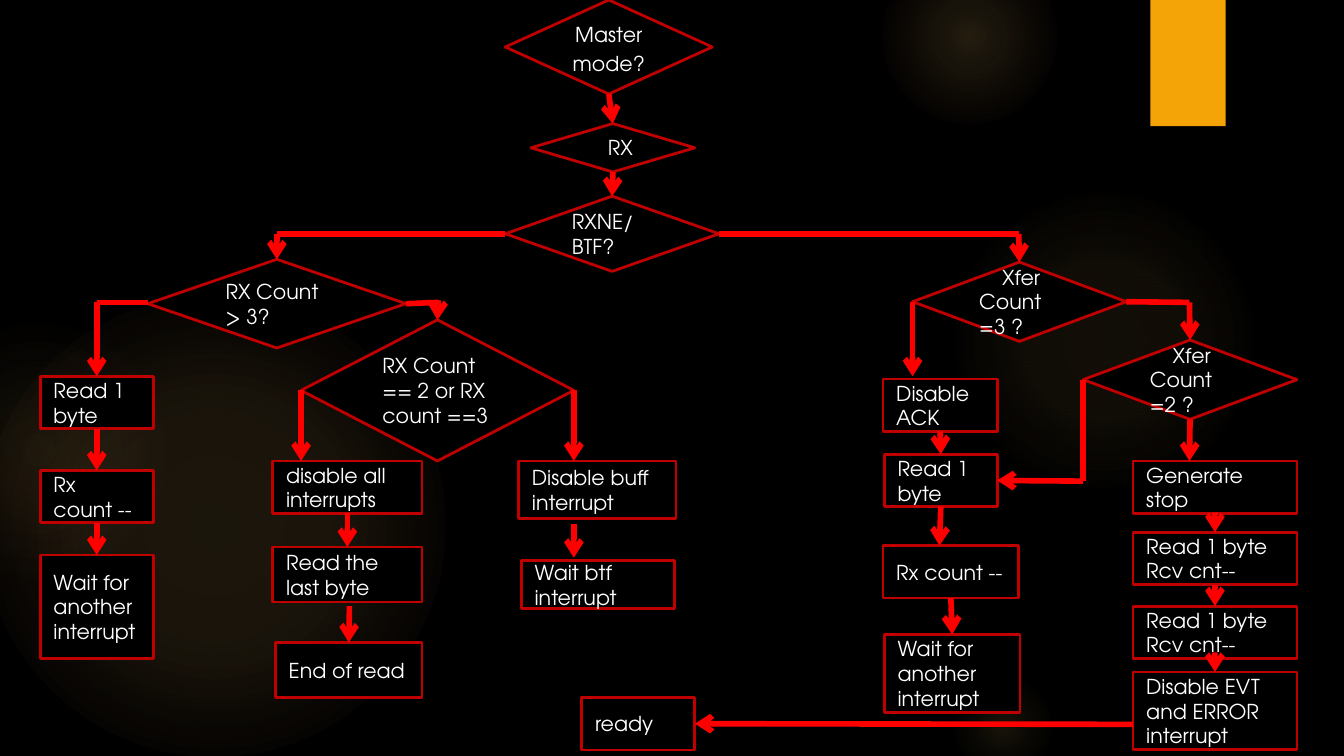
import pptx
import pptx.util
import pptx.dml.color
import pptx.enum.shapes
import pptx.enum.text
import pptx.oxml
import pptx.oxml.ns
from dataclasses import dataclass

Inches = pptx.util.Inches
Pt = pptx.util.Pt
Kind = pptx.enum.shapes.MSO_SHAPE
Align = pptx.enum.text.PP_ALIGN
NS = pptx.oxml.ns.nsdecls("a")
TOP, LEFT, BOTTOM, RIGHT = range(4)


@dataclass(frozen=True)
class Theme:
    back: str = "000000"
    edge: str = "C00000"
    flow: str = "FF0000"
    text: str = "FFFFFF"
    gold: str = "F5A408"
    glow: str = "FAC96A"
    rose: str = "F59B74"
    font: str = "TeX Gyre Adventor"
    size: float = 11
    thin: float = 1.5
    thick: float = 3


THEME = Theme()

# Glows: left, top, size, gradient stops (position %, colour, opacity %)
GLOWS = [
    (-0.13, 2.19, 3.44, [(0, THEME.glow, 11), (36, THEME.glow, 10), (75, THEME.glow, 0)]),
    (-0.69, 2.38, 1.94, [(0, THEME.glow, 8), (36, THEME.glow, 5), (71, THEME.rose, 0)]),
    (7.06, 1.38, 2.31, [(0, THEME.glow, 7), (36, THEME.glow, 6), (69, THEME.glow, 0)]),
    (6.56, -0.38, 1.31, [(0, THEME.glow, 14), (36, THEME.glow, 7), (73, THEME.glow, 0)]),
    (7.06, 5, 0.81, [(0, THEME.glow, 10), (31, THEME.glow, 5), (66, THEME.glow, 0)]),
]

# Decisions: name, left, top, width, height, text, first-line indent
TESTS = [
    ("master", 3.76, 0, 1.54, 0.7, "Master mode?", 0),
    ("rx", 3.95, 0.92, 1.22, 0.36, "RX", 0.17),
    ("rxne", 3.76, 1.46, 1.59, 0.56, "RXNE/BTF?", 0),
    ("over3", 1.1, 1.93, 1.92, 0.66, "RX Count > 3?", 0),
    ("two3", 2.24, 2.38, 2.03, 1.05, "RX Count == 2 or RX count ==3", 0),
    ("xfer3", 6.79, 1.95, 1.59, 0.59, "Xfer Count =3 ?", 0.17),
    ("xfer2", 8.06, 2.53, 1.59, 0.59, "Xfer Count =2 ?", 0.17),
]

# Steps: name, left, top, width, height, text
STEPS = [
    ("read", 0.3, 2.8, 0.84, 0.39, "Read 1 byte"),
    ("count", 0.3, 3.5, 0.84, 0.39, "Rx count --"),
    ("wait", 0.3, 4.13, 0.84, 0.77, "Wait for another interrupt"),
    ("mask", 2.03, 3.43, 1.11, 0.39, "disable all interrupts"),
    ("last", 2.03, 4.07, 1.11, 0.41, "Read the last byte"),
    ("end", 2.05, 4.78, 1.09, 0.41, "End of read"),
    ("buff", 3.86, 3.43, 1.17, 0.43, "Disable buff interrupt"),
    ("btf", 3.88, 4.17, 1.14, 0.36, "Wait btf interrupt"),
    ("ack", 6.57, 2.82, 0.85, 0.39, "Disable ACK"),
    ("xread", 6.58, 3.38, 0.84, 0.39, "Read 1 byte"),
    ("xcount", 6.57, 4.06, 1.01, 0.39, "Rx count --"),
    ("xwait", 6.58, 4.72, 1.01, 0.58, "Wait for another interrupt"),
    ("stop", 8.43, 3.43, 1.22, 0.39, "Generate stop"),
    ("byte1", 8.43, 3.96, 1.22, 0.39, "Read 1 byte\nRcv cnt--"),
    ("byte2", 8.43, 4.51, 1.22, 0.39, "Read 1 byte\nRcv cnt--"),
    ("evt", 8.43, 5, 1.22, 0.58, "Disable EVT and ERROR interrupt"),
    ("ready", 4.33, 5.19, 0.84, 0.39, "ready"),
]

# Straight drops from the bottom of one shape to the top of the next
CHAINS = [
    ("master", "rx", "rxne"),
    ("read", "count", "wait"),
    ("mask", "last"),
    ("ack", "xread"),
    ("xcount", "xwait"),
    ("stop", "byte1", "byte2", "evt"),
]

# Other routes: each stop is a point or a (name, side) pair
ROUTES = [
    [("rxne", LEFT), (2.06, 1.74), ("over3", TOP)],
    [("rxne", RIGHT), (7.58, 1.74), ("xfer3", TOP)],
    [(1.1, 2.25), (0.72, 2.25), ("read", TOP)],
    [("over3", RIGHT), (3.26, 2.25), ("two3", TOP)],
    [("two3", LEFT), (2.24, 3.43)],
    [("two3", RIGHT), (4.27, 3.43)],
    [(4.27, 3.9), (4.27, 4.15)],
    [(2.6, 4.51), ("end", TOP)],
    [("xfer3", LEFT), (6.79, 2.8)],
    [("xfer3", RIGHT), (8.85, 2.25), ("xfer2", TOP)],
    [("xfer2", LEFT), (8.06, 3.58), ("xread", RIGHT)],
    [("xfer2", BOTTOM), (8.85, 3.43)],
    [("xread", BOTTOM), (6.99, 4.06)],
    [(8.43, 5.39), ("ready", RIGHT)],
]


def tint(code):
    return pptx.dml.color.RGBColor.from_string(code)


def shape(slide, kind, box, fill):
    item = slide.shapes.add_shape(kind, *map(Inches, box))
    item.shadow.inherit = False
    item.fill.solid()
    item.fill.fore_color.rgb = tint(fill)
    item.line.fill.background()
    return item


def glow(slide, x, y, size, stops):
    item = shape(slide, Kind.OVAL, (x, y, size, size), THEME.glow)
    marks = "".join(
        f'<a:gs pos="{pos * 1000}"><a:srgbClr val="{code}">'
        f'<a:alpha val="{alpha * 1000}"/></a:srgbClr></a:gs>'
        for pos, code, alpha in stops)
    grad = pptx.oxml.parse_xml(
        f'<a:gradFill {NS}><a:gsLst>{marks}</a:gsLst><a:path path="circle">'
        '<a:fillToRect l="50000" t="50000" r="50000" b="50000"/>'
        '</a:path></a:gradFill>')
    props = item.element.spPr
    props.replace(props.find(pptx.oxml.ns.qn("a:solidFill")), grad)


def node(slide, kind, box, text, indent=0):
    item = shape(slide, kind, box, THEME.back)
    item.line.color.rgb = tint(THEME.edge)
    item.line.width = Pt(THEME.thin)
    frame = item.text_frame
    frame.word_wrap = True
    frame.text = text
    for para in frame.paragraphs:
        para.alignment = Align.LEFT
        if indent:
            para._p.get_or_add_pPr().set("indent", str(Inches(indent)))
        font = para.font
        font.name = THEME.font
        font.size = Pt(THEME.size)
        font.color.rgb = tint(THEME.text)
    return item


def link(slide, nodes, start, stop, head):
    def point(spot):
        return (0, 0) if spot[0] in nodes else map(Inches, spot)

    line = slide.shapes.add_connector(
        pptx.enum.shapes.MSO_CONNECTOR.STRAIGHT, *point(start), *point(stop))
    for spot, join in ((start, line.begin_connect), (stop, line.end_connect)):
        if spot[0] in nodes:
            join(nodes[spot[0]], spot[1])
    line.line.color.rgb = tint(THEME.flow)
    line.line.width = Pt(THEME.thick)
    if head:
        line.line._get_or_add_ln().append(
            pptx.oxml.parse_xml(f'<a:tailEnd {NS} type="arrow"/>'))
    line.element.spPr.append(pptx.oxml.parse_xml(f"<a:effectLst {NS}/>"))


def route(slide, nodes, stops):
    for i in range(1, len(stops)):
        link(slide, nodes, stops[i - 1], stops[i], i == len(stops) - 1)


def main():
    deck = pptx.Presentation()
    # Widescreen, 16 to 9
    deck.slide_width, deck.slide_height = Inches(10), Inches(10 * 9 / 16)
    slide = deck.slides.add_slide(deck.slide_layouts[6])

    # Backdrop
    slide.background.fill.solid()
    slide.background.fill.fore_color.rgb = tint(THEME.back)
    for spot in GLOWS:
        glow(slide, *spot)
    shape(slide, Kind.RECTANGLE, (8.56, 0, 0.56, 0.94), THEME.gold)

    # Decisions and steps
    nodes = {}
    for name, *box, text, indent in TESTS:
        nodes[name] = node(slide, Kind.FLOWCHART_DECISION, box, text, indent)
    for name, *box, text in STEPS:
        nodes[name] = node(slide, Kind.RECTANGLE, box, text)
    first = nodes["master"].text_frame.paragraphs[0]
    first.alignment = Align.CENTER
    first.line_spacing = 1.15
    first.space_after = Pt(10)

    # Arrows
    for chain in CHAINS:
        for above, below in zip(chain, chain[1:]):
            route(slide, nodes, [(above, BOTTOM), (below, TOP)])
    for stops in ROUTES:
        route(slide, nodes, stops)

    deck.save("out.pptx")


if __name__ == "__main__":
    main()
